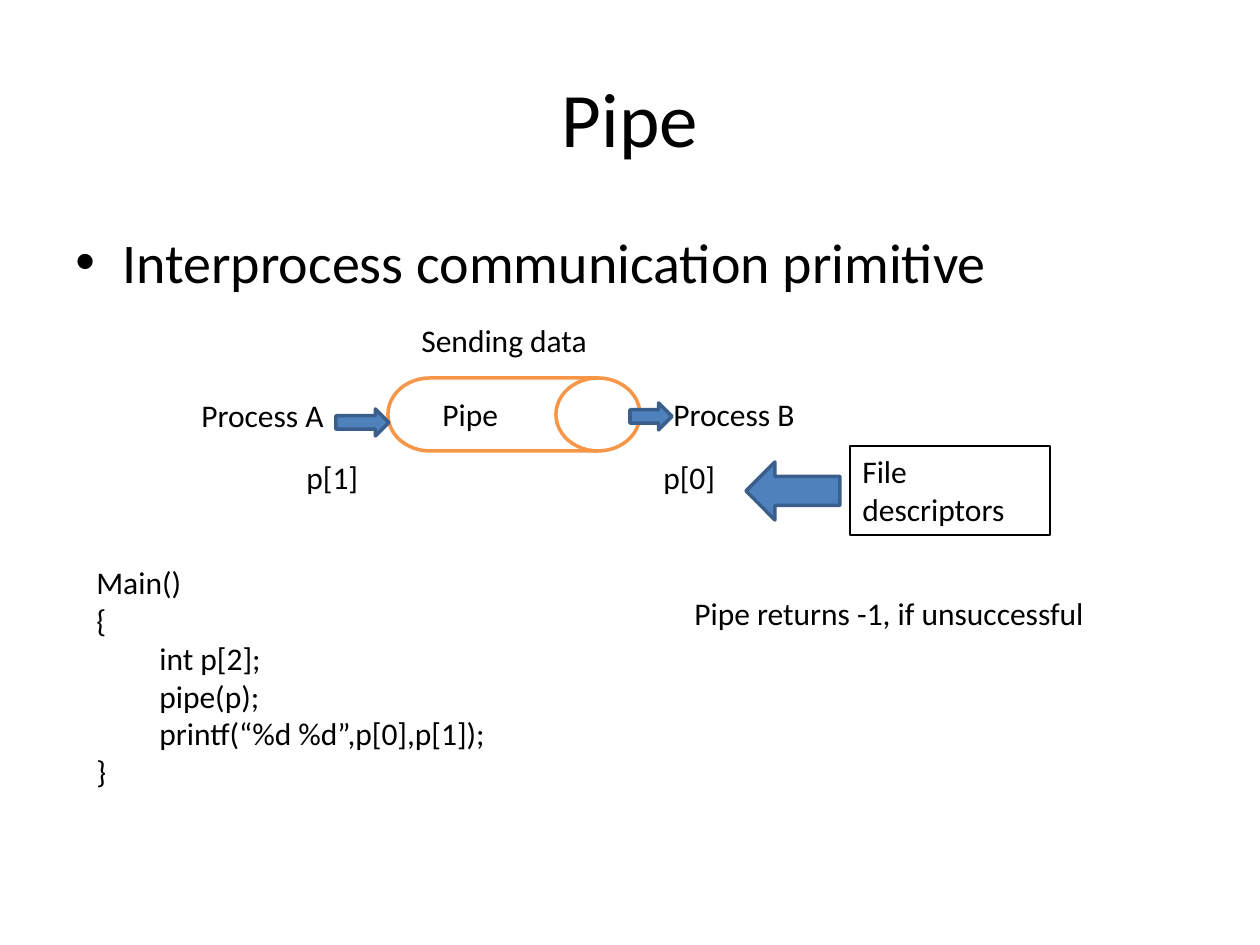
from dataclasses import dataclass

from lxml.etree import SubElement
from pptx import Presentation
from pptx.dml.color import RGBColor
from pptx.enum.shapes import MSO_SHAPE
from pptx.enum.text import MSO_ANCHOR, PP_ALIGN
from pptx.oxml.ns import qn
from pptx.util import Emu, Pt

PX_PER_INCH = 126


@dataclass(frozen=True)
class Theme:
    font: str = "Calibri"
    ink: str = "000000"
    paper: str = "FFFFFF"
    drum_line: str = "F79646"
    arrow_fill: str = "4F81BD"
    arrow_line: str = "3A5F8C"
    title_size: int = 44
    bullet_size: int = 32
    label_size: int = 18
    outline: float = 2
    hairline: float = 0.75


THEME = Theme()


def px(length):
    return Emu(round(length * 914400 / PX_PER_INCH))


def box(*lengths):
    return [px(length) for length in lengths]


def add_run(paragraph, words, size):
    run = paragraph.add_run()
    run.text = words
    run.font.name = THEME.font
    run.font.size = Pt(size)
    run.font.color.rgb = RGBColor.from_string(THEME.ink)


def write_lines(frame, lines, size=THEME.label_size):
    frame.word_wrap = True
    for index, line in enumerate(lines):
        paragraph = frame.paragraphs[0] if index == 0 else frame.add_paragraph()
        paragraph.alignment = PP_ALIGN.LEFT
        add_run(paragraph, line, size)


def add_title(slide, words, place):
    title = slide.shapes.title
    title.left, title.top, title.width, title.height = box(*place)
    title.text_frame.vertical_anchor = MSO_ANCHOR.MIDDLE
    paragraph = title.text_frame.paragraphs[0]
    paragraph.alignment = PP_ALIGN.CENTER
    add_run(paragraph, words, THEME.title_size)


def add_text(slide, lines, place, size=THEME.label_size):
    text = slide.shapes.add_textbox(*box(*place))
    write_lines(text.text_frame, lines, size)
    return text


def add_bullet(slide, words, place, indent):
    text = add_text(slide, [words], place, THEME.bullet_size)
    paragraph = text.text_frame.paragraphs[0]
    paragraph.space_before = Pt(THEME.bullet_size * 0.2)
    properties = paragraph._p.get_or_add_pPr()
    properties.set("marL", str(px(indent)))
    properties.set("indent", str(-px(indent)))
    SubElement(properties, qn("a:buFont")).set("typeface", "Arial")
    SubElement(properties, qn("a:buChar")).set("char", "•")


def add_figure(slide, preset, place, line, width, fill=None):
    figure = slide.shapes.add_shape(preset, *box(*place))
    figure.shadow.inherit = False
    if fill:
        figure.fill.solid()
        figure.fill.fore_color.rgb = RGBColor.from_string(fill)
    else:
        figure.fill.background()
    figure.line.color.rgb = RGBColor.from_string(line)
    figure.line.width = Pt(width)
    return figure


def add_arrow(slide, preset, place):
    add_figure(slide, preset, place, THEME.arrow_line, THEME.outline, THEME.arrow_fill)


def add_framed_text(slide, words, place):
    frame = add_figure(slide, MSO_SHAPE.RECTANGLE, place, THEME.ink, THEME.hairline)
    frame.text_frame.vertical_anchor = MSO_ANCHOR.TOP
    write_lines(frame.text_frame, [words])


def main():
    deck = Presentation()
    deck.slide_width, deck.slide_height = box(1260, 945)
    slide = deck.slides.add_slide(deck.slide_layouts[5])

    add_title(slide, "Pipe", (63, 38, 1134, 157))
    add_bullet(slide, "Interprocess communication primitive", (63, 221, 1134, 624), 47)

    add_figure(slide, MSO_SHAPE.FLOWCHART_DIRECT_ACCESS_STORAGE, (388, 378, 252, 73),
               THEME.drum_line, THEME.outline, THEME.paper)

    label_height = 51
    labels = [
        ("Process A", 189, 390, 262),
        ("Process B", 661, 389, 262),
        ("Sending data", 409, 315, 273),
        ("Pipe", 430, 389, 95),
        ("p[1]", 294, 452, 116),
        ("p[0]", 651, 452, 116),
        ("Pipe returns -1, if unsuccessful", 682, 588, 546),
    ]
    for words, left, top, width in labels:
        add_text(slide, [words], (left, top, width, label_height))

    add_arrow(slide, MSO_SHAPE.RIGHT_ARROW, (336, 409, 53, 27))
    add_arrow(slide, MSO_SHAPE.RIGHT_ARROW, (630, 403, 42, 27))
    add_arrow(slide, MSO_SHAPE.LEFT_ARROW, (746, 462, 94, 58))

    program = [
        "Main()",
        "{",
        "\tint p[2];",
        "\tpipe(p);",
        "\tprintf(“%d %d”,p[0],p[1]);",
        "}",
    ]
    add_text(slide, program, (84, 557, 819, 242))
    add_framed_text(slide, "File descriptors", (850, 446, 200, 89))

    deck.save("out.pptx")


if __name__ == "__main__":
    main()
